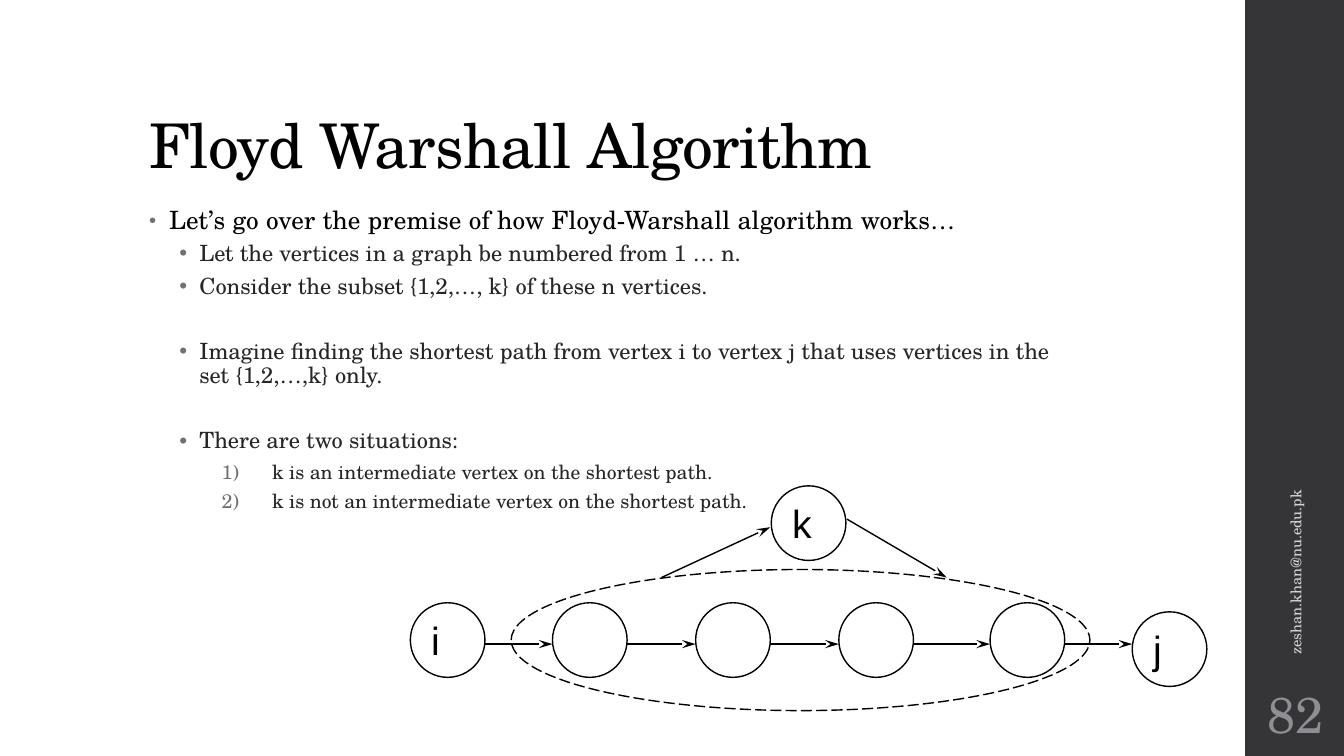
from itertools import pairwise

from lxml import etree
from pptx import Presentation
from pptx.dml.color import RGBColor
from pptx.enum.dml import MSO_LINE
from pptx.enum.shapes import MSO_CONNECTOR, MSO_SHAPE
from pptx.enum.text import MSO_ANCHOR, PP_ALIGN
from pptx.oxml.ns import qn
from pptx.util import Inches, Pt

SERIF = "TeX Gyre Schola"
BLACK, WHITE, DARK, GREY = "000000", "FFFFFF", "262626", "6F6F74"


def color(value):
    return RGBColor.from_string(value)


def add_run(paragraph, text, size, font_color, font_name=SERIF, spacing=0):
    """Add formatted text; spacing is in hundredths of a point."""
    run = paragraph.add_run()
    run.text = text
    for name, value in {"size": Pt(size), "name": font_name}.items():
        setattr(run.font, name, value)
    run.font.color.rgb = color(font_color)
    if spacing:
        run.font._element.set("spc", str(spacing))


presentation = Presentation()
presentation.slide_width = Inches(13.33)
presentation.slide_height = Inches(7.5)
slide = presentation.slides.add_slide(presentation.slide_layouts[6])
shapes = slide.shapes

# Side band
band = shapes.add_shape(MSO_SHAPE.RECTANGLE, Inches(12.35), 0, Inches(0.98), Inches(7.5))
band.shadow.inherit = False
band.fill.solid()
band.fill.fore_color.rgb = color("353537")
band.line.fill.background()

# Title, e-mail address and slide number
labels = [
    ("Floyd Warshall Algorithm", (1.38, 0.4, 10.6, 1.45), 44, BLACK, -50,
     MSO_ANCHOR.BOTTOM, PP_ALIGN.LEFT, 0.9, 0),
    ("zeshan.khan@nu.edu.pk", (10.89, 4.43, 3.92, 0.4), 10.5, "D9D9DB", 0,
     MSO_ANCHOR.MIDDLE, PP_ALIGN.LEFT, 1.0, 270),
    ("82", (12.35, 6.75, 1, 0.65), 36, "8E8E94", 0,
     MSO_ANCHOR.MIDDLE, PP_ALIGN.CENTER, 1.0, 0),
]
for text, place, size, font_color, spacing, anchor, alignment, line_spacing, rotation in labels:
    box = shapes.add_textbox(*map(Inches, place))
    box.rotation = rotation
    frame = box.text_frame
    frame.word_wrap = True
    frame.vertical_anchor = anchor
    paragraph = frame.paragraphs[0]
    paragraph.alignment = alignment
    paragraph.line_spacing = line_spacing
    add_run(paragraph, text, size, font_color, spacing=spacing)

# Body: level -> indent, hanging, size, color, line spacing, bullet percent, letter spacing
levels = [
    (0.2, 0.2, 18, BLACK, 0.95, 80, 10),
    (0.5, 0.2, 16, DARK, 0.9, 100, 0),
    (1.22, 0.5, 14, DARK, 0.9, 100, 0),
]
GAP = 26.4
points = [
    (0, 0, "Let’s go over the premise of how Floyd-Warshall algorithm works…"),
    (1, 3, "Let the vertices in a graph be numbered from 1 … n."),
    (1, 3, "Consider the subset {1,2,…, k} of these n vertices."),
    (1, GAP, "Imagine finding the shortest path from vertex i to vertex j "
             "that uses vertices in the set {1,2,…,k} only."),
    (1, GAP, "There are two situations:"),
    (2, 3, "k is an intermediate vertex on the shortest path."),
    (2, 3, "k is not an intermediate vertex on the shortest path."),
]
body = shapes.add_textbox(Inches(1.38), Inches(2), Inches(9.4), Inches(3.23)).text_frame
body.word_wrap = True
for index, (level, space_before, text) in enumerate(points):
    indent, hanging, size, font_color, line_spacing, percent, spacing = levels[level]
    paragraph = body.paragraphs[0] if index == 0 else body.add_paragraph()
    properties = paragraph._p.get_or_add_pPr()
    properties.set("marL", str(Inches(indent)))
    properties.set("indent", str(-Inches(hanging)))
    bullet_color = etree.SubElement(properties, qn("a:buClr"))
    etree.SubElement(bullet_color, qn("a:srgbClr"), val=GREY)
    etree.SubElement(properties, qn("a:buSzPct"), val=str(percent * 1000))
    if level == 2:
        etree.SubElement(properties, qn("a:buFont"), typeface=SERIF)
        etree.SubElement(properties, qn("a:buAutoNum"), type="arabicParenR")
    else:
        etree.SubElement(properties, qn("a:buFont"), typeface="Arial")
        etree.SubElement(properties, qn("a:buChar"), char="•")
    paragraph_format = {
        "level": level,
        "line_spacing": line_spacing,
        "space_before": Pt(space_before),
        "space_after": Pt(3 if level else 2),
    }
    for name, value in paragraph_format.items():
        setattr(paragraph, name, value)
    add_run(paragraph, text, size, font_color, spacing=spacing)

# Vertices and the dashed set around the inner ones
DIAMETER = 0.74
row = [("i", 4.07, 5.98), ("", 5.48, 5.98), ("", 6.9, 5.98),
       ("", 8.32, 5.98), ("", 9.82, 5.98), ("j", 11.23, 6.07)]
vertices = row + [("k", 7.65, 4.82)]
ellipses = [(text, (left, top, DIAMETER, DIAMETER)) for text, left, top in vertices]
ellipses.append((None, (5.07, 5.65, 5.74, 1.4)))
for text, place in ellipses:
    ellipse = shapes.add_shape(MSO_SHAPE.OVAL, *map(Inches, place))
    ellipse.shadow.inherit = False
    ellipse.line.color.rgb = color(BLACK)
    ellipse.line.width = Pt(1)
    if text is None:
        ellipse.fill.background()
        ellipse.line.dash_style = MSO_LINE.LONG_DASH
        continue
    ellipse.fill.solid()
    ellipse.fill.fore_color.rgb = color(WHITE)
    if text:
        frame = ellipse.text_frame
        frame.word_wrap = False
        frame.vertical_anchor = MSO_ANCHOR.MIDDLE
        frame.paragraphs[0].alignment = PP_ALIGN.LEFT
        add_run(frame.paragraphs[0], text, 28, BLACK, "Arial")

# Arrows from edge to edge along the row, then the detour through k
PATH_Y = 6.39
arrows = [(start + DIAMETER, PATH_Y, end, PATH_Y)
          for (_, start, _), (_, end, _) in pairwise(row)]
arrows += [(6.56, 5.73, 7.64, 5.23), (8.4, 5.15, 9.39, 5.73)]
for ends in arrows:
    arrow = shapes.add_connector(MSO_CONNECTOR.STRAIGHT, *map(Inches, ends))
    arrow.line.color.rgb = color(BLACK)
    arrow.line.width = Pt(1)
    etree.SubElement(arrow.line._get_or_add_ln(), qn("a:tailEnd"),
                     type="stealth", w="med", len="lg")
    etree.SubElement(arrow._element.spPr, qn("a:effectLst"))

presentation.save("out.pptx")
